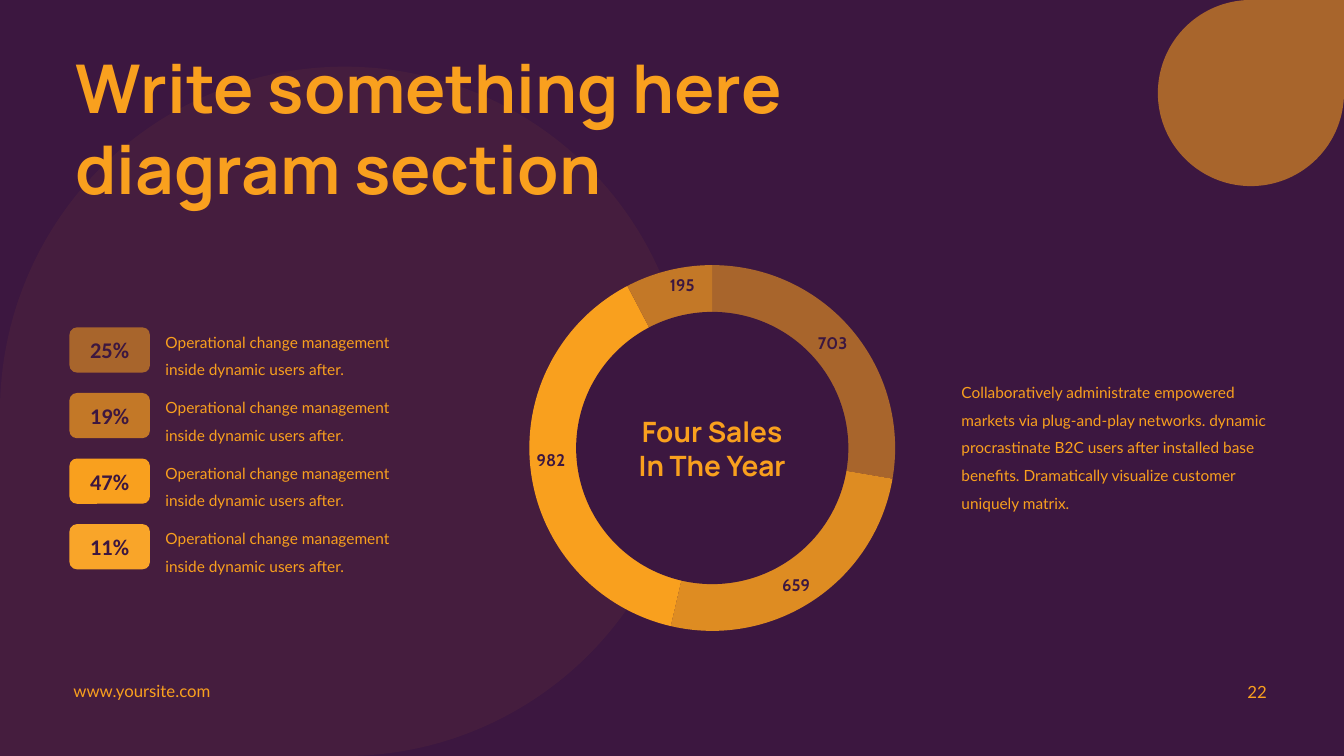
from collections import namedtuple
from dataclasses import dataclass

from lxml.etree import SubElement
from pptx import Presentation
from pptx.chart.data import CategoryChartData
from pptx.dml.color import RGBColor
from pptx.enum.chart import XL_CHART_TYPE, XL_LABEL_POSITION
from pptx.enum.shapes import MSO_SHAPE
from pptx.enum.text import MSO_ANCHOR, MSO_AUTO_SIZE, PP_ALIGN
from pptx.oxml import parse_xml
from pptx.oxml.ns import nsdecls, qn
from pptx.util import Cm, Pt

Box = namedtuple("Box", "left top wide high")


@dataclass(frozen=True)
class Theme:
    plum: str = "3C1740"
    gold: str = "F9A01E"
    light: str = "F9A529"
    brown: str = "A8652C"
    amber: str = "DE8C22"
    rust: str = "C37827"
    head: str = "Manrope"
    body: str = "Lato"
    badge: str = "Calibri"
    label: str = "Cabin"
    title: int = 48
    hub: int = 20
    rate: int = 16
    small: int = 12
    text: int = 11
    tick: int = 10


THEME = Theme()


def rgb(code):
    return RGBColor.from_string(code)


def style(font, size, face, color, bold=False):
    font.size, font.name, font.bold = Pt(size), face, bold
    font.color.rgb = rgb(color)


def put(frame, text, size=THEME.text, face=THEME.body, color=THEME.gold,
        bold=False, align=PP_ALIGN.LEFT, anchor=MSO_ANCHOR.TOP,
        space=1.0, pad=0):
    """Fill a text frame, one paragraph for each line of text."""
    frame.word_wrap = True
    frame.auto_size = MSO_AUTO_SIZE.NONE
    frame.vertical_anchor = anchor
    frame.margin_left = frame.margin_right = Cm(pad)
    frame.margin_top = frame.margin_bottom = Cm(pad / 2)
    for i, line in enumerate(text.split("\n")):
        para = frame.add_paragraph() if i else frame.paragraphs[0]
        para.alignment, para.line_spacing = align, space
        para.space_before = Pt(0)
        run = para.add_run()
        run.text = line
        style(run.font, size, face, color, bold)


def place(item, box):
    item.left, item.top, item.width, item.height = map(Cm, box)


def write(slide, box, text, **form):
    area = slide.shapes.add_textbox(*map(Cm, box))
    put(area.text_frame, text, **form)


def draw(slide, kind, box, color):
    shape = slide.shapes.add_shape(kind, *map(Cm, box))
    shape.shadow.inherit = False
    shape.fill.solid()
    shape.fill.fore_color.rgb = rgb(color)
    shape.line.fill.background()
    return shape


def add_back(slide, box):
    """Plum ground with a corner drop and a large faint drop."""
    slide.background.fill.solid()
    slide.background.fill.fore_color.rgb = rgb(THEME.plum)
    small, large = 4.69, 17.37
    corner = draw(slide, MSO_SHAPE.TEAR, Box(
        box.left + box.wide - small, box.top, small, small), THEME.brown)
    faint = draw(slide, MSO_SHAPE.TEAR, Box(
        box.left, box.top + box.high - large, large, large), THEME.gold)
    faint.rotation = 180
    tone = faint._element.spPr.find(qn("a:solidFill")).find(qn("a:srgbClr"))
    SubElement(tone, qn("a:alpha")).set("val", "5000")
    # Both drops go behind the placeholders
    for drop in (faint, corner):
        slide.shapes._spTree.insert(2, drop._element)


def add_title(slide, box, text):
    title = slide.shapes.title
    place(title, box)
    put(title.text_frame, text, size=THEME.title, face=THEME.head,
        bold=True, pad=0.25)


def add_body(slide, box, text):
    body = slide.placeholders[1]
    place(body, box)
    props = body.text_frame.paragraphs[0]._p.get_or_add_pPr()
    props.set("marL", "0")
    props.set("indent", "0")
    SubElement(props, qn("a:buNone"))
    put(body.text_frame, text, space=1.5)


def add_rates(slide, box, rows, note):
    """Column of badges, each with a note to its right."""
    step = box.high / len(rows)
    for i, (rate, color) in enumerate(rows):
        top = box.top + i * step
        badge = draw(slide, MSO_SHAPE.ROUNDED_RECTANGLE,
                     Box(box.left, top + 0.1, 2.03, 1.14), color)
        put(badge.text_frame, rate, size=THEME.rate, face=THEME.badge,
            color=THEME.plum, bold=True, align=PP_ALIGN.CENTER,
            anchor=MSO_ANCHOR.MIDDLE)
        write(slide, Box(box.left + 2.42, top, box.wide - 2.42, 1.32),
              note, space=1.5)


def add_ring(slide, box, parts, text):
    """Pie with a round hub laid over its middle."""
    data = CategoryChartData(number_format="#,##0")
    data.categories = [str(i + 1) for i in range(len(parts))]
    data.add_series("Series 1", [value for value, _ in parts])
    chart = slide.shapes.add_chart(
        XL_CHART_TYPE.PIE, *map(Cm, box), data).chart
    chart.has_legend = chart.has_title = False
    style(chart.font, THEME.tick, THEME.body, THEME.gold)

    # Slices
    plot = chart.plots[0]
    plot.vary_by_categories = True
    for i, (_, color) in enumerate(parts):
        form = plot.series[0].points[i].format
        form.fill.solid()
        form.fill.fore_color.rgb = rgb(color)
        form.line.fill.background()

    # Labels
    labels = plot.series[0].data_labels
    labels.show_value = True
    labels.show_percentage = False
    labels.show_legend_key = False
    labels.number_format, labels.number_format_is_linked = "#,##0", False
    labels.position = XL_LABEL_POSITION.INSIDE_END
    style(labels.font, THEME.small, THEME.label, THEME.plum, True)

    # Plot fills the whole frame
    area = chart._chartSpace.chart.plotArea
    for old in area.findall(qn("c:layout")):
        area.remove(old)
    sides = "".join(f'<c:{key} val="{val}"/>' for key, val in (
        ("layoutTarget", "inner"), ("xMode", "edge"), ("yMode", "edge"),
        ("x", 0), ("y", 0), ("w", 1), ("h", 1)))
    area.insert(0, parse_xml(
        f'<c:layout {nsdecls("c")}><c:manualLayout>{sides}'
        '</c:manualLayout></c:layout>'))

    # Hub
    inset = 1.18
    hub = draw(slide, MSO_SHAPE.OVAL, Box(
        box.left + inset, box.top + inset,
        box.wide - 2 * inset, box.high - 2 * inset), THEME.plum)
    put(hub.text_frame, text, size=THEME.hub, face=THEME.head, bold=True,
        align=PP_ALIGN.CENTER, anchor=MSO_ANCHOR.MIDDLE)


def add_foot(slide, box, site, page):
    write(slide, Box(box.left, box.top + 0.23, 6.88, 0.51), site,
          size=THEME.small)
    write(slide, Box(box.left + box.wide - 7.62, box.top, 7.62, box.high),
          page, size=THEME.small, align=PP_ALIGN.RIGHT,
          anchor=MSO_ANCHOR.MIDDLE, pad=0.25)


def main():
    deck = Presentation()
    deck.slide_width, deck.slide_height = Cm(33.87), Cm(19.05)
    slide = deck.slides.add_slide(deck.slide_layouts[1])
    add_back(slide, Box(0, 0, 33.87, 19.05))
    add_title(slide, Box(1.65, 1.04, 24.08, 4.37),
              "Write something here diagram section")
    add_ring(slide, Box(13.34, 6.68, 9.22, 9.22),
             [(703, THEME.brown), (659, THEME.amber),
              (982, THEME.gold), (195, THEME.rust)],
             "Four Sales\nIn The Year")
    add_rates(slide, Box(1.75, 8.15, 8.11, 6.61),
              [("25%", THEME.brown), ("19%", THEME.rust),
               ("47%", THEME.gold), ("11%", THEME.light)],
              "Operational change management inside dynamic users after.")
    add_body(slide, Box(24.23, 9.42, 7.95, 3.45),
             "Collaboratively administrate empowered markets via "
             "plug-and-play networks. dynamic procrastinate B2C users after "
             "installed base benefits. Dramatically visualize customer "
             "uniquely matrix.")
    add_foot(slide, Box(1.85, 16.92, 30.33, 1.02), "www.yoursite.com", "22")
    deck.save("out.pptx")


if __name__ == "__main__":
    main()
